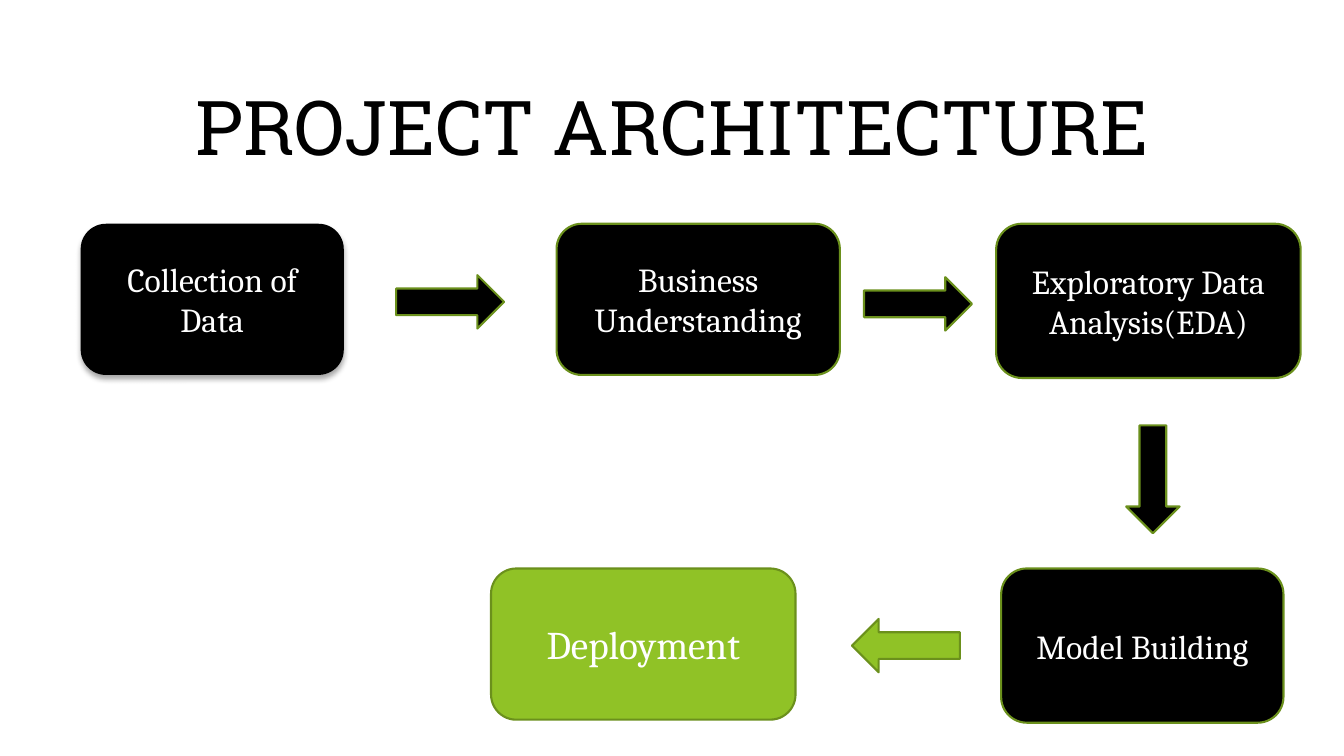
"""Build the project architecture flow slide."""
from lxml import etree
from pptx import Presentation
from pptx import util as u
from pptx.dml.color import RGBColor
from pptx.enum import shapes, text
from pptx.oxml import ns

PX = 9144
THEME = {
    "black": RGBColor.from_string("000000"),
    "white": RGBColor.from_string("FFFFFF"),
    "green": RGBColor.from_string("90C226"),
    "edge": RGBColor.from_string("6B901C"),
    "head": ("Roboto Slab", 54),
    "step": ("Cambria", 24),
    "goal": ("Cambria", 28),
    "line": 1.5,
}
KIND = shapes.MSO_SHAPE


def write(frame, words, style, color):
    frame.text = words
    para = frame.paragraphs[0]
    para.alignment = text.PP_ALIGN.CENTER
    font = para.runs[0].font
    name, size = THEME[style]
    font.name, font.size = name, u.Pt(size)
    font.color.rgb = THEME[color]


def draw(kind, spot, fill):
    shape = slide.shapes.add_shape(kind, *(n * PX for n in spot))
    shape.shadow.inherit = False
    shape.fill.solid()
    shape.fill.fore_color.rgb = THEME[fill]
    shape.line.color.rgb = THEME["edge"]
    shape.line.width = u.Pt(THEME["line"])
    return shape


deck = Presentation()
deck.slide_width, deck.slide_height = 1333 * PX, 750 * PX
slide = deck.slides.add_slide(deck.slide_layouts[6])

title = slide.shapes.add_textbox(*(n * PX for n in (133, 74, 1068, 101)))
title.text_frame.word_wrap = False
title.text_frame.auto_size = text.MSO_AUTO_SIZE.SHAPE_TO_FIT_TEXT
write(title.text_frame, "PROJECT ARCHITECTURE", "head", "black")

steps = [
    ("Collection of Data", (80, 222, 261, 150), "black", "step"),
    ("Business Understanding", (552, 222, 281, 150), "black", "step"),
    ("Exploratory Data Analysis(EDA)", (988, 222, 302, 153), "black", "step"),
    ("Deployment", (487, 564, 302, 150), "green", "goal"),
    ("Model Building", (993, 564, 280, 153), "black", "step"),
]
boxes = []
for words, spot, fill, style in steps:
    box = draw(KIND.ROUNDED_RECTANGLE, spot, fill)
    box.text_frame.word_wrap = True
    box.text_frame.vertical_anchor = text.MSO_ANCHOR.MIDDLE
    write(box.text_frame, words, style, "white")
    boxes.append(box)

first = boxes[0]
first.line.fill.background()
effects = first._element.spPr.find(ns.qn("a:effectLst"))
shade = etree.SubElement(
    effects, ns.qn("a:outerShdw"), blurRad=str(u.Pt(4)), dist=str(u.Pt(3)),
    dir="5400000", algn="ctr", rotWithShape="0")
tint = etree.SubElement(shade, ns.qn("a:srgbClr"), val=str(THEME["black"]))
etree.SubElement(tint, ns.qn("a:alpha"), val="35000")

arrows = [
    (KIND.RIGHT_ARROW, (393, 273, 107, 53), "black"),
    (KIND.RIGHT_ARROW, (857, 275, 107, 53), "black"),
    (KIND.DOWN_ARROW, (1117, 422, 53, 107), "black"),
    (KIND.LEFT_ARROW, (845, 614, 107, 53), "green"),
]
for kind, spot, fill in arrows:
    draw(kind, spot, fill)

deck.save("out.pptx")
